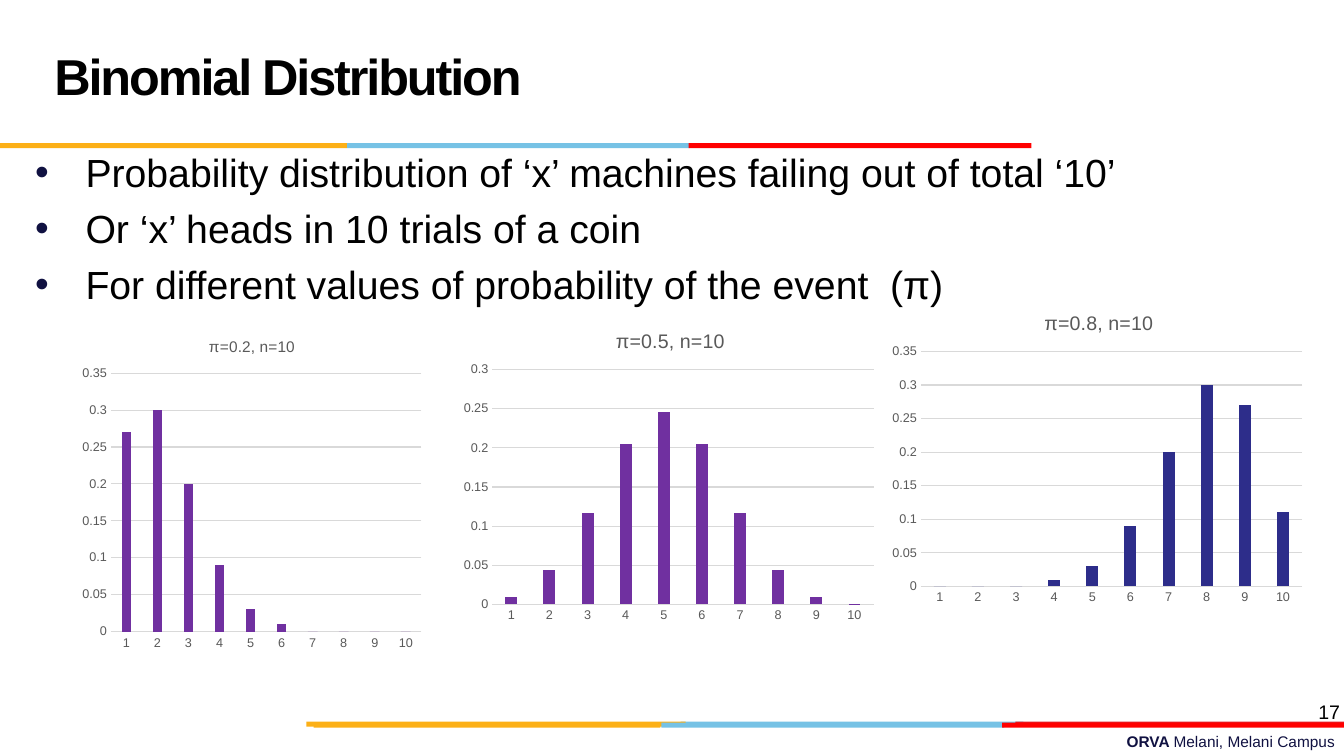
"""Build the binomial distribution slide with three column charts."""
import dataclasses
import typing

import lxml.etree
import pptx
import pptx.chart.data
import pptx.dml.color
import pptx.enum.chart
import pptx.enum.shapes
import pptx.enum.text
import pptx.oxml.ns
import pptx.util

Inches = pptx.util.Inches
Pt = pptx.util.Pt
FONT = "Arial"
NAVY, GOLD, SKY, RED = "101141", "FCB017", "76C2E5", "FF0000"
GRAY, RULE, PURPLE = "595959", "D9D9D9", "7030A0"


@dataclasses.dataclass
class Bar:
    left: float
    top: float
    width: float
    color: str


@dataclasses.dataclass
class Histogram:
    box: tuple[float, float, float, float]
    title: str
    maximum: float
    values: tuple[float, ...]
    color: str = PURPLE
    title_size: float = 14
    plot: tuple[float, float, float, float] = (0.09, 0.18, 0.89, 0.74)


BARS = [
    Bar(6.75, 7.16, 3.4, SKY),
    Bar(10.07, 7.16, 3.26, "E31C24"),
    Bar(3.04, 7.16, 3.76, GOLD),
    Bar(6.56, 7.17, 3.4, SKY),
    Bar(3.11, 7.17, 3.44, GOLD),
    Bar(9.94, 7.17, 3.4, RED),
    Bar(3.44, 1.42, 3.4, SKY),
    Bar(0, 1.42, 3.44, GOLD),
    Bar(6.83, 1.42, 3.4, RED),
]
HISTOGRAMS = [
    Histogram((0.75, 3.17, 3.5, 3.33), "π=0.2, n=10", 0.35,
              (0.27, 0.3, 0.2, 0.09, 0.03, 0.01, 0, 0, 0, 0),
              title_size=11, plot=(0.1, 0.16, 0.88, 0.77)),
    Histogram((4.5, 3.1, 4.25, 3.15), "π=0.5, n=10", 0.3,
              (0.01, 0.044, 0.117, 0.205, 0.246, 0.205, 0.117, 0.044, 0.01, 0.001)),
    Histogram((8.75, 2.92, 4.25, 3.15), "π=0.8, n=10", 0.35,
              (0, 0, 0, 0.01, 0.03, 0.09, 0.2, 0.3, 0.27, 0.11), color="2D2D8A"),
]
BULLETS = [
    "Probability distribution of ‘x’ machines failing out of total ‘10’",
    "Or ‘x’ heads in 10 trials of a coin",
    "For different values of probability of the event  (π)",
]


def rgb(color: str) -> pptx.dml.color.RGBColor:
    return pptx.dml.color.RGBColor.from_string(color)


def style_font(font: typing.Any, size: float, color: str, bold: bool = False) -> None:
    font.name, font.size, font.bold = FONT, Pt(size), bold
    font.color.rgb = rgb(color)


def add_text(paragraph: typing.Any, text: str, *, size: float, color: str = "000000",
             bold: bool = False, spacing: float = 0) -> None:
    run = paragraph.add_run()
    run.text = text
    style_font(run.font, size, color, bold)
    if spacing:
        run.font._element.set("spc", str(round(spacing * 100)))


def add_text_frame(slide: typing.Any, *box: float) -> typing.Any:
    frame = slide.shapes.add_textbox(*map(Inches, box)).text_frame
    frame.word_wrap = True
    return frame


def add_bullet(paragraph: typing.Any) -> None:
    properties = paragraph._p.get_or_add_pPr()
    properties.set("marL", str(Inches(0.5)))
    properties.set("indent", str(Inches(-0.5)))
    color = lxml.etree.SubElement(properties, pptx.oxml.ns.qn("a:buClr"))
    lxml.etree.SubElement(color, pptx.oxml.ns.qn("a:srgbClr"), val=NAVY)
    lxml.etree.SubElement(properties, pptx.oxml.ns.qn("a:buFont"), typeface=FONT)
    lxml.etree.SubElement(properties, pptx.oxml.ns.qn("a:buChar"), char="•")


def add_bar(slide: typing.Any, bar: Bar) -> None:
    shape = slide.shapes.add_shape(
        pptx.enum.shapes.MSO_SHAPE.RECTANGLE,
        Inches(bar.left), Inches(bar.top), Inches(bar.width), Inches(0.05))
    shape.shadow.inherit = False
    shape.fill.solid()
    shape.fill.fore_color.rgb = rgb(bar.color)
    shape.line.fill.background()


def place(element: typing.Any, index: int, **settings: typing.Any) -> None:
    qn = pptx.oxml.ns.qn
    for previous in element.findall(qn("c:layout")):
        element.remove(previous)
    layout = lxml.etree.Element(qn("c:layout"))
    manual = lxml.etree.SubElement(layout, qn("c:manualLayout"))
    for name, value in settings.items():
        lxml.etree.SubElement(manual, qn(f"c:{name}"), val=str(value))
    element.insert(index, layout)


def add_histogram(slide: typing.Any, histogram: Histogram) -> None:
    data = pptx.chart.data.CategoryChartData()
    data.categories = [str(number) for number in range(1, 11)]
    data.add_series("Series 1", histogram.values)
    chart = slide.shapes.add_chart(
        pptx.enum.chart.XL_CHART_TYPE.COLUMN_CLUSTERED,
        *map(Inches, histogram.box), data).chart
    style_font(chart.font, 10, "000000")
    chart.has_legend = False
    chart.has_title = True
    add_text(chart.chart_title.text_frame.paragraphs[0], histogram.title,
             size=histogram.title_size, color=GRAY)
    chart.chart_title.include_in_layout = False
    place(chart.chart_title._element, 1, xMode="edge", yMode="edge", x=0.37, y=0.04)
    left, top, width, height = histogram.plot
    place(chart._chartSpace.xpath("c:chart/c:plotArea")[0], 0, layoutTarget="inner",
          xMode="edge", yMode="edge", x=left, y=top, w=width, h=height)

    plot = chart.plots[0]
    plot.gap_width, plot.overlap, plot.vary_by_categories = 219, -27, False
    fill = plot.series[0].format.fill
    fill.solid()
    fill.fore_color.rgb = rgb(histogram.color)

    value_axis = chart.value_axis
    for axis in (chart.category_axis, value_axis):
        axis.major_tick_mark = pptx.enum.chart.XL_TICK_MARK.NONE
        axis.minor_tick_mark = pptx.enum.chart.XL_TICK_MARK.NONE
        style_font(axis.tick_labels.font, 9, GRAY)
    value_axis.minimum_scale, value_axis.maximum_scale = 0, histogram.maximum
    value_axis.major_unit = 0.05
    value_axis.has_major_gridlines = True
    value_axis.format.line.fill.background()
    for line in (chart.category_axis.format.line, value_axis.major_gridlines.format.line):
        line.color.rgb = rgb(RULE)
        line.width = Pt(0.75)


def main() -> None:
    presentation = pptx.Presentation()
    presentation.slide_width, presentation.slide_height = Inches(13.33), Inches(7.5)
    slide = presentation.slides.add_slide(presentation.slide_layouts[6])
    right = pptx.enum.text.PP_ALIGN.RIGHT

    footer = add_text_frame(slide, 4.78, 7.21, 8.56, 0.29).paragraphs[0]
    footer.alignment = right
    add_text(footer, "ORVA ", size=11, color=NAVY, bold=True)
    add_text(footer, "Melani, Melani Campus", size=11, color=NAVY)
    for bar in BARS:
        add_bar(slide, bar)

    title_frame = add_text_frame(slide, 0.44, 0.17, 11.14, 1.25)
    title_frame.vertical_anchor = pptx.enum.text.MSO_ANCHOR.MIDDLE
    title = title_frame.paragraphs[0]
    title.line_spacing = Pt(36)
    add_text(title, "Binomial Distribution", size=36, bold=True, spacing=-1.5)

    page_number = add_text_frame(slide, 10.28, 6.89, 3.11, 0.52).paragraphs[0]
    page_number.alignment = right
    add_text(page_number, "17", size=14)

    body = add_text_frame(slide, 0.25, 1.42, 12.83, 1.58)
    for index, text in enumerate(BULLETS):
        paragraph = body.add_paragraph() if index else body.paragraphs[0]
        paragraph.space_before = Pt(6.5)
        add_bullet(paragraph)
        add_text(paragraph, text, size=28)

    for histogram in HISTOGRAMS:
        add_histogram(slide, histogram)
    presentation.save("out.pptx")


if __name__ == "__main__":
    main()
